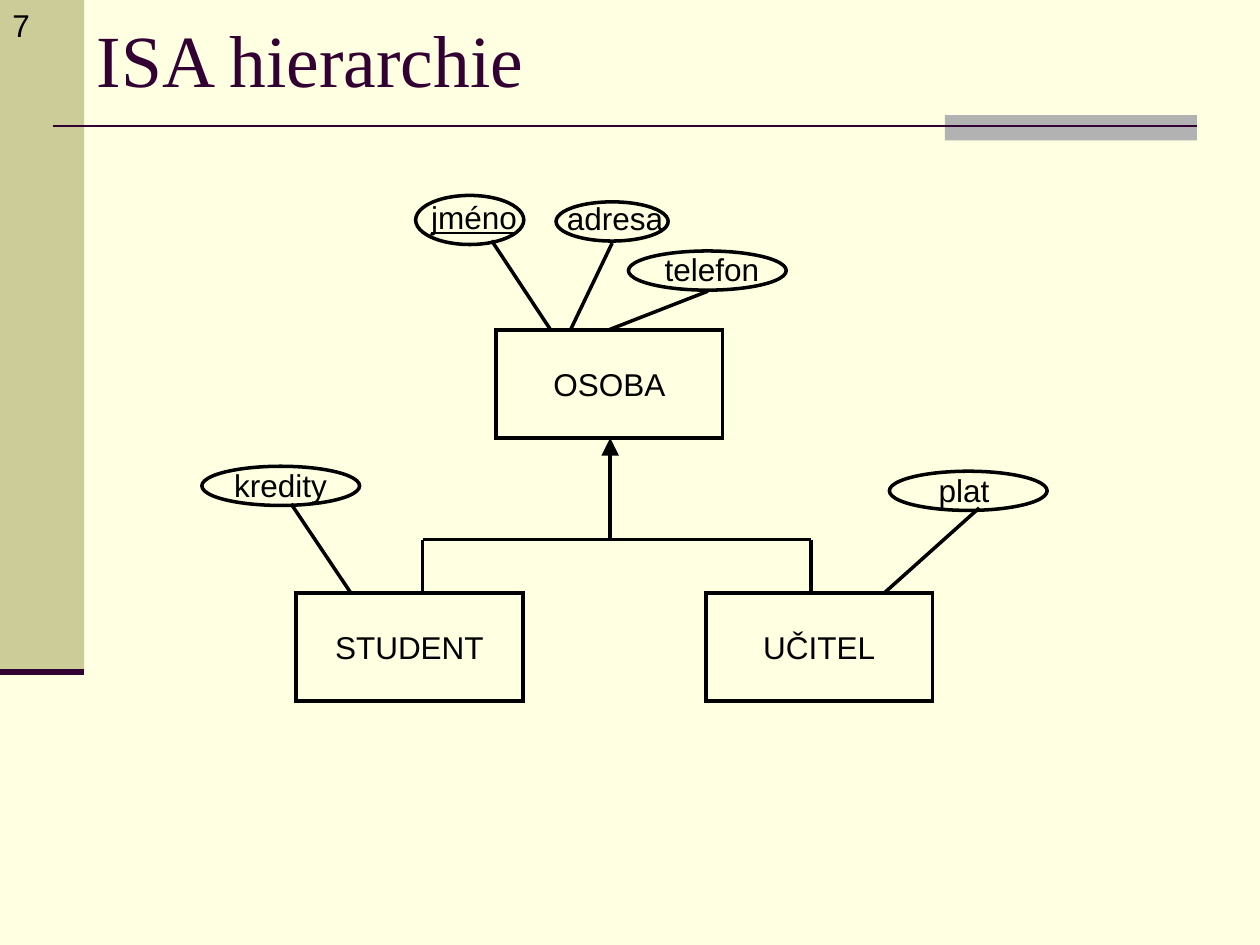
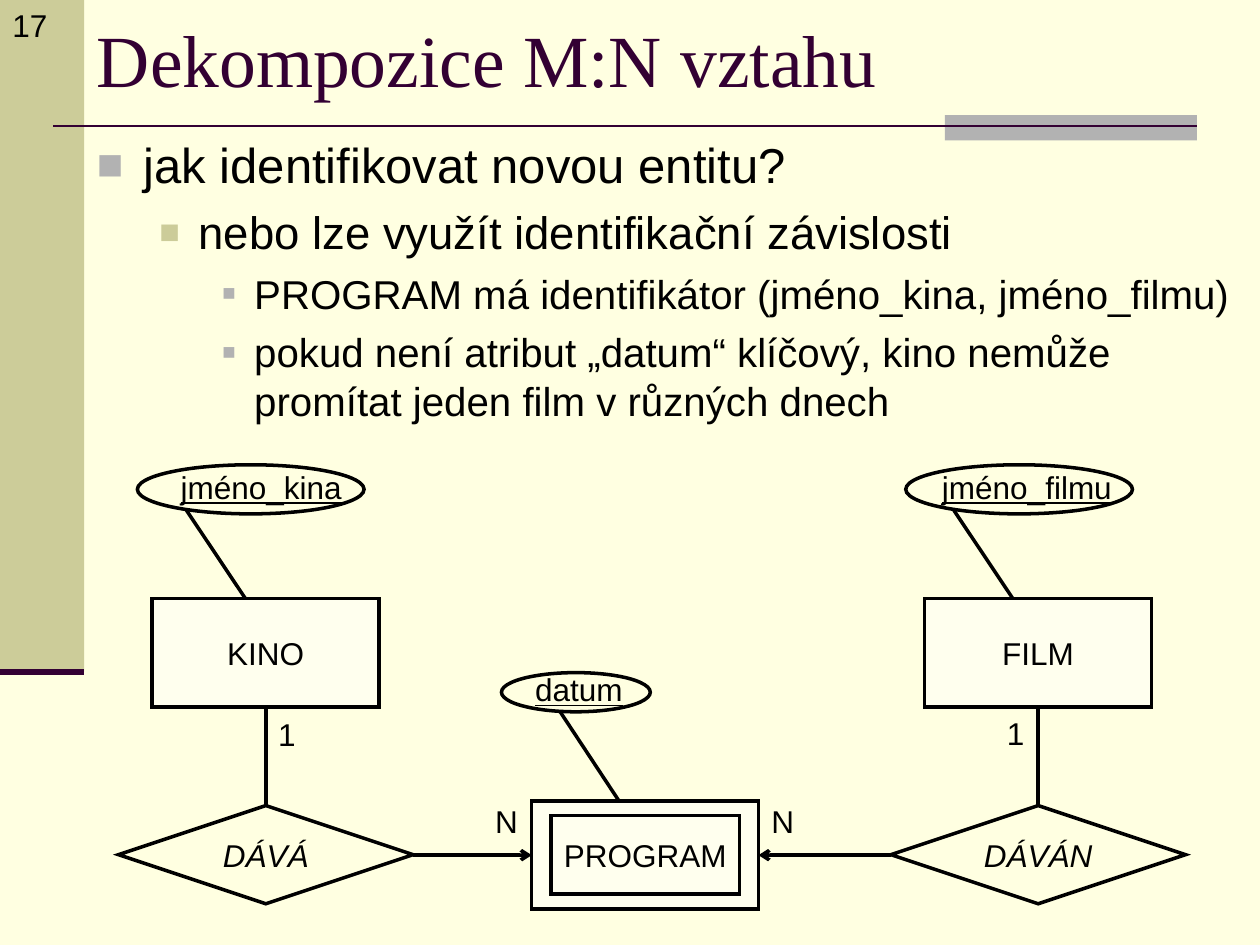
import pptx
import pptx.dml.color
import pptx.enum.shapes
import pptx.enum.text
import pptx.oxml
import pptx.oxml.ns
import pptx.util

Cm = pptx.util.Cm
Pt = pptx.util.Pt
SHAPE = pptx.enum.shapes.MSO_SHAPE
ALIGN = pptx.enum.text.PP_ALIGN
ANCHOR = pptx.enum.text.MSO_ANCHOR
FIT = pptx.enum.text.MSO_AUTO_SIZE

# All lengths are in centimetres.
PAPER, SAND, SILVER, PLUM, INK, IVORY = (
    "FFFFE1", "CCCC99", "B2B2B2", "330033", "000000", "FFFFEE")
SLIDE_SIZE = (25.4, 19.05)
SIDE_WIDTH, SIDE_HEIGHT = 1.7, 13.54
TITLE_AREA = (SIDE_WIDTH, 0.02, 23.7, 2.31)
BODY_AREA = (SIDE_WIDTH, 2.58, 23.7, 6.63)
ENTITY_SIZE = (4.57, 2.18)
RELATION_SIZE = (5.94, 1.98)
LABEL_HEIGHT = 1.02

TITLE_FONT = {"name": "Times New Roman", "size": Pt(42)}
LABEL_FONT = {"name": "Arial", "size": Pt(18)}

# Per outline level: size, left margin, hanging indent, space before, bullet colour, bullet %
LEVELS = [
    (28, 0.94, 0.94, 7, SILVER, 90),
    (26, 2.05, 0.79, 6.5, SAND, 75),
    (23, 3.17, 0.64, 5.8, SILVER, 55),
]

# entities: name -> left, top
# attributes: text, key?, owner, ellipse box, label (left, top, width), link x at owner, link end
HIERARCHY = {
    "title": "ISA hierarchie",
    "number": "7",
    "entity_fill": None,
    "attribute_fill": None,
    "entities": {"OSOBA": (10, 6.65), "STUDENT": (5.97, 11.95), "UČITEL": (14.23, 11.95)},
    "attributes": [
        ("jméno", True, "OSOBA", (8.38, 3.94, 2.18, 0.99), (8.44, 3.86, 2.4), 11.1, (9.91, 4.85)),
        ("adresa", False, "OSOBA", (11.21, 4.07, 2.26, 0.79), (11.18, 3.89, 2.6), 11.5, (12.34, 4.9)),
        ("telefon", False, "OSOBA", (12.67, 5.06, 3.18, 0.79), (13.15, 4.91, 2.6), 12.27, (14.27, 5.87)),
        ("kredity", False, "STUDENT", (4.07, 9.4, 3.18, 0.79), (4.47, 9.27, 2.5), 7.07, (5.87, 10.16)),
        ("plat", False, "UČITEL", (17.93, 9.5, 3.18, 0.79), (18.67, 9.37, 1.7), 17.83, (19.74, 10.24)),
    ],
}
DECOMPOSITION = {
    "title": "Dekompozice M:N vztahu",
    "number": "17",
    "entity_fill": IVORY,
    "attribute_fill": PAPER,
    "entities": {"KINO": (3.07, 12.07), "FILM": (18.64, 12.07), "PROGRAM": (10.72, 16.15)},
    "attributes": [
        ("jméno_kina", True, "KINO", (2.77, 9.37, 4.57, 0.99), (3.39, 9.31, 3.9), 4.95, (3.76, 10.29)),
        ("jméno_filmu", True, "FILM", (18.26, 9.37, 4.57, 0.99), (18.74, 9.31, 4.1), 20.42, (19.23, 10.29)),
        ("datum", True, "PROGRAM", (10.11, 13.56, 3, 0.79), (10.54, 13.39, 2.4), 12.48, (11.28, 14.33)),
    ],
}
OUTLINE = [
    (0, "jak identifikovat novou entitu?"),
    (1, "nebo lze využít identifikační závislosti"),
    (2, "PROGRAM má identifikátor (jméno_kina, jméno_filmu)"),
    (2, "pokud není atribut „datum“ klíčový, kino nemůže promítat jeden film v různých dnech"),
]
WEAK_ENTITY = "PROGRAM"
WEAK_INNER = (11.11, 16.44, 3.8, 1.58)
RELATIONS = [("DÁVÁ", "KINO", (2.39, 16.24)), ("DÁVÁN", "FILM", (17.96, 16.24))]
CARDINALITIES = [("N", 9.73, 16.05, 1.1), ("1", 20.05, 14.26, 1),
                 ("N", 15.3, 16.05, 1.1), ("1", 5.36, 14.29, 1)]
ISA_BUS_Y, ISA_ARROW_X, ISA_BRANCHES = 10.88, 12.3, {"STUDENT": 8.52, "UČITEL": 16.35}


def rgb(colour):
    return pptx.dml.color.RGBColor.from_string(colour)


def lengths(values):
    return [Cm(value) for value in values]


def xml(markup):
    return pptx.oxml.parse_xml(markup.replace("/>", f" {pptx.oxml.ns.nsdecls('a')}/>", 1))


def format_with(target, values):
    for attribute, value in values.items():
        setattr(target, attribute, value)


def write(paragraph, text, font, colour=INK, **extra):
    run = paragraph.add_run()
    run.text = text
    format_with(run.font, {**font, **extra})
    run.font.color.rgb = rgb(colour)


def add_figure(slide, kind, box, fill=None, outline=INK, text="", **font):
    figure = slide.shapes.add_shape(kind, *lengths(box))
    figure.shadow.inherit = False
    if fill:
        figure.fill.solid()
        figure.fill.fore_color.rgb = rgb(fill)
    else:
        figure.fill.background()
    if outline:
        figure.line.color.rgb = rgb(outline)
        figure.line.width = Pt(2)
        figure.line._get_or_add_ln().append(xml('<a:miter lim="800000"/>'))
    else:
        figure.line.fill.background()
    if text:
        format_with(figure.text_frame, {
            "vertical_anchor": ANCHOR.MIDDLE, "word_wrap": True,
            "margin_left": 0, "margin_right": 0})
        paragraph = figure.text_frame.paragraphs[0]
        paragraph.alignment = ALIGN.CENTER
        write(paragraph, text, LABEL_FONT, **font)


def add_line(slide, start, end, colour=INK, width=2, arrow=None, arrow_size="med"):
    line = slide.shapes.add_connector(
        pptx.enum.shapes.MSO_CONNECTOR.STRAIGHT, *lengths(start + end))
    line.line.color.rgb = rgb(colour)
    line.line.width = Pt(width)
    if arrow:
        line.line._get_or_add_ln().append(
            xml(f'<a:tailEnd type="{arrow}" w="{arrow_size}" len="{arrow_size}"/>'))
    line._element.spPr.append(xml("<a:effectLst/>"))


def add_label(slide, text, left, top, width, height=LABEL_HEIGHT, **font):
    label = slide.shapes.add_textbox(*lengths((left, top, width, height)))
    format_with(label.text_frame, {"word_wrap": True, "auto_size": FIT.NONE})
    write(label.text_frame.paragraphs[0], text, LABEL_FONT, **font)


def place(placeholder, box, anchor):
    format_with(placeholder, dict(zip(("left", "top", "width", "height"), lengths(box))))
    format_with(placeholder.text_frame, {
        "vertical_anchor": anchor, "word_wrap": True, "auto_size": FIT.NONE})


def start_slide(deck, layout, content):
    """Add a slide with the side band, rules, title and page number."""
    slide = deck.slides.add_slide(deck.slide_layouts.get_by_name(layout))
    add_figure(slide, SHAPE.RECTANGLE, (0, 0, SIDE_WIDTH, SIDE_HEIGHT), SAND, None)
    add_figure(slide, SHAPE.RECTANGLE, (19.05, 2.32, 5.08, 0.51), SILVER, None)
    add_line(slide, (1.07, 2.54), (24.13, 2.54), PLUM, 1.5)
    add_line(slide, (0, SIDE_HEIGHT), (SIDE_WIDTH, SIDE_HEIGHT), PLUM, 3.5)
    title = slide.shapes.title
    place(title, TITLE_AREA, ANCHOR.MIDDLE)
    heading = title.text_frame.paragraphs[0]
    heading.alignment = ALIGN.LEFT
    write(heading, content["title"], TITLE_FONT, PLUM)
    add_label(slide, content["number"], 0, 0, 1.5, 1.27)
    return slide


def fill_outline(body):
    place(body, BODY_AREA, ANCHOR.TOP)
    for index, (level, text) in enumerate(OUTLINE):
        size, margin, hanging, before, bullet_colour, bullet_size = LEVELS[level]
        frame = body.text_frame
        paragraph = frame.add_paragraph() if index else frame.paragraphs[0]
        format_with(paragraph, {"level": level, "alignment": ALIGN.LEFT, "space_before": Pt(before)})
        write(paragraph, text, {"name": "Arial", "size": Pt(size)})
        properties = paragraph._p.get_or_add_pPr()
        properties.set("marL", str(Cm(margin)))
        properties.set("indent", str(-Cm(hanging)))
        colour = xml("<a:buClr/>")
        colour.append(xml(f'<a:srgbClr val="{bullet_colour}"/>'))
        properties.extend([colour, xml(f'<a:buSzPct val="{bullet_size * 1000}"/>'),
                           xml('<a:buFont typeface="Arial"/>'), xml('<a:buChar char="■"/>')])


def draw_entities(slide, content):
    """Draw the entities, then each attribute with its link to the owner's top edge."""
    entities = content["entities"]
    for name, corner in entities.items():
        add_figure(slide, SHAPE.RECTANGLE, corner + ENTITY_SIZE, content["entity_fill"],
                   text="" if name == WEAK_ENTITY else name)
    for text, key, owner, ellipse, label, link_x, link_end in content["attributes"]:
        add_line(slide, (link_x, entities[owner][1]), link_end)
        add_figure(slide, SHAPE.OVAL, ellipse, content["attribute_fill"])
        add_label(slide, text, *label, underline=key)


def draw_isa(slide):
    entities = HIERARCHY["entities"]
    parent_bottom = entities["OSOBA"][1] + ENTITY_SIZE[1]
    add_line(slide, (ISA_ARROW_X, ISA_BUS_Y), (ISA_ARROW_X, parent_bottom),
             arrow="triangle", arrow_size="lg")
    left, right = ISA_BRANCHES.values()
    add_line(slide, (left, ISA_BUS_Y), (right, ISA_BUS_Y))
    for child, x in ISA_BRANCHES.items():
        add_line(slide, (x, ISA_BUS_Y), (x, entities[child][1]))


def draw_relations(slide):
    entities = DECOMPOSITION["entities"]
    weak_left = entities[WEAK_ENTITY][0]
    width, height = RELATION_SIZE
    for text, entity, (left, top) in RELATIONS:
        add_figure(slide, SHAPE.DIAMOND, (left, top, width, height), PAPER, text=text, italic=True)
        centre = left + width / 2
        add_line(slide, (centre, top), (centre, entities[entity][1] + ENTITY_SIZE[1]))
        if left < weak_left:
            start, end = left + width, weak_left
        else:
            start, end = left, weak_left + ENTITY_SIZE[0]
        middle = entities[WEAK_ENTITY][1] + ENTITY_SIZE[1] / 2
        add_line(slide, (start, middle), (end, middle), arrow="arrow")
    add_figure(slide, SHAPE.RECTANGLE, WEAK_INNER, IVORY, text=WEAK_ENTITY)
    for cardinality in CARDINALITIES:
        add_label(slide, *cardinality)


def main():
    deck = pptx.Presentation()
    deck.slide_width, deck.slide_height = lengths(SLIDE_SIZE)
    background = deck.slide_master.background.fill
    background.solid()
    background.fore_color.rgb = rgb(PAPER)

    hierarchy = start_slide(deck, "Title Only", HIERARCHY)
    draw_entities(hierarchy, HIERARCHY)
    draw_isa(hierarchy)

    decomposition = start_slide(deck, "Title and Content", DECOMPOSITION)
    fill_outline(decomposition.placeholders[1])
    draw_entities(decomposition, DECOMPOSITION)
    draw_relations(decomposition)
    deck.save("out.pptx")


if __name__ == "__main__":
    main()
